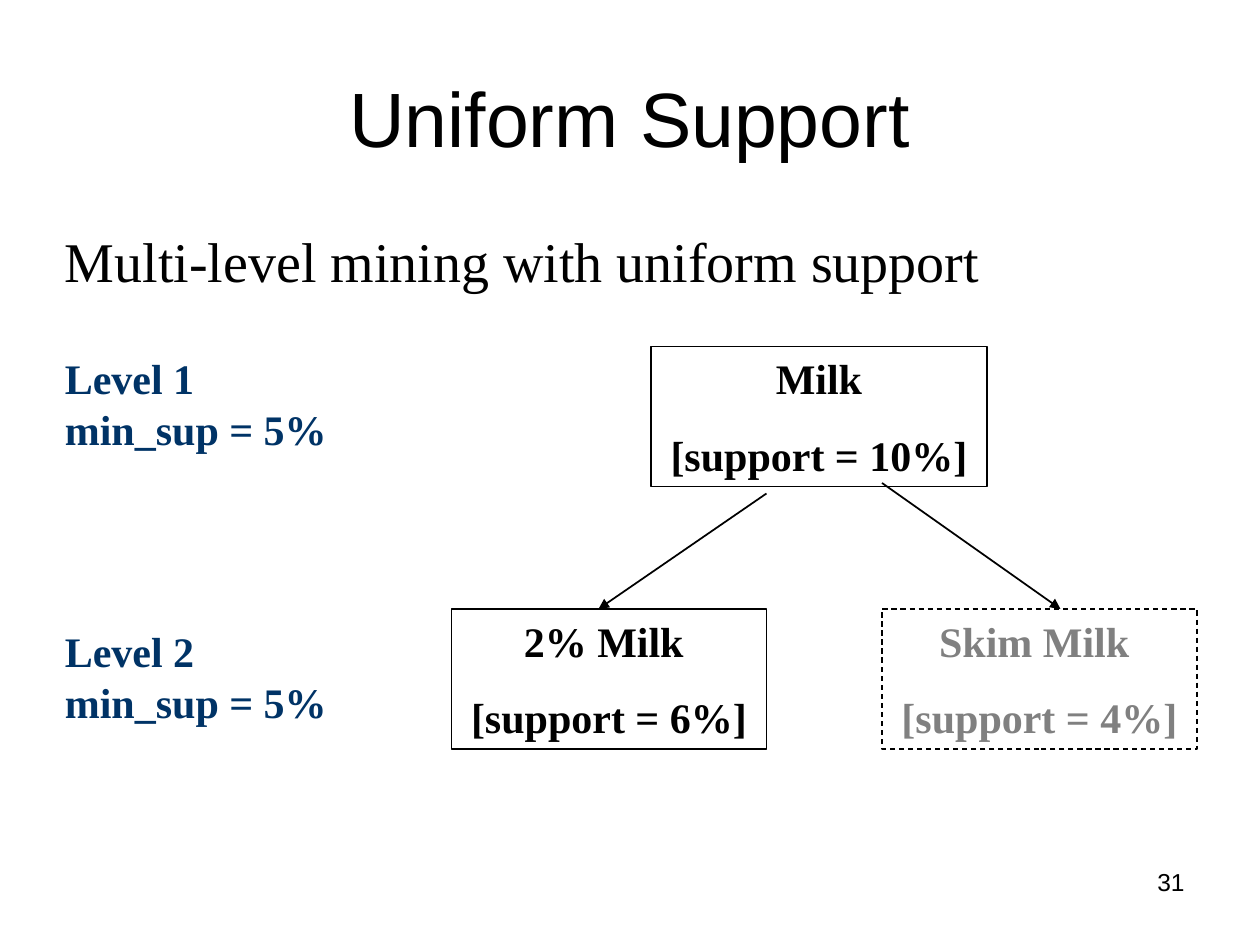
from lxml.etree import SubElement
from pptx import Presentation
from pptx.dml.color import RGBColor
from pptx.enum.dml import MSO_LINE
from pptx.enum.shapes import MSO_CONNECTOR, MSO_SHAPE
from pptx.enum.text import MSO_ANCHOR, PP_ALIGN
from pptx.oxml.ns import qn
from pptx.util import Pt

THEME = {
    "sans": "Arial", "serif": "Times New Roman",
    "black": "000000", "white": "FFFFFF", "gray": "808080", "navy": "003366",
    "title": 44, "lead": 32, "body": 24, "page": 14,
}

# Places are left, top, width, height in points.
TITLE = ("Uniform Support", (36, 21.6, 648, 90))
LEAD = ("Multi-level mining with uniform support", (30, 126, 660, 78))
PAGE = ("31", (516, 492, 168, 37.5))
LEVELS = [
    (["Level 1", "min_sup = 5%"], 198),
    (["Level 2", "min_sup = 5%"], 354),
]
# Lines, left, top, width, whether the item is frequent
NODES = [
    (["Milk", "[support = 10%]"], 372, 198, 192, True),
    (["2% Milk ", "[support = 6%]"], 258, 348, 180, True),
    (["Skim Milk ", "[support = 4%]"], 504, 348, 180, False),
]
ARROWS = [((438, 282), (342, 348)), ((504, 276), (606, 348))]
NODE_H, LEVEL_W, LEVEL_H = 80, 164, 65


def color(name):
    return RGBColor.from_string(THEME[name])


def write(shape, lines, size, face="serif", ink="black", bold=False,
          align=PP_ALIGN.LEFT, gap=0, anchor=MSO_ANCHOR.TOP, wrap=True):
    frame = shape.text_frame
    frame.word_wrap = wrap
    frame.vertical_anchor = anchor
    frame.text = "\n".join(lines)
    for i, para in enumerate(frame.paragraphs):
        para.alignment = align
        para.space_before = Pt(gap if i else 0)
        font = para.font
        font.name, font.size, font.bold = THEME[face], Pt(THEME[size]), bold
        font.color.rgb = color(ink)


def add_text(slide, lines, place, size, **style):
    box = slide.shapes.add_textbox(*map(Pt, place))
    write(box, lines, size, **style)


def add_node(slide, lines, left, top, width, frequent):
    place = map(Pt, (left, top, width, NODE_H))
    box = slide.shapes.add_shape(MSO_SHAPE.RECTANGLE, *place)
    box.shadow.inherit = False
    box.fill.solid()
    box.fill.fore_color.rgb = color("white")
    box.line.color.rgb = color("black")
    box.line.width = Pt(0.75)
    if not frequent:
        box.line.dash_style = MSO_LINE.DASH
        tint = box.fill._xPr.find(qn("a:solidFill"))[0]
        SubElement(tint, qn("a:alpha"), val="50000")
    write(box, lines, "body", ink="black" if frequent else "gray",
          bold=True, align=PP_ALIGN.CENTER, gap=15)


def add_arrow(slide, start, end):
    line = slide.shapes.add_connector(
        MSO_CONNECTOR.STRAIGHT, *map(Pt, start + end))
    line.line.color.rgb = color("black")
    line.line.width = Pt(1)
    SubElement(line.line._get_or_add_ln(), qn("a:tailEnd"), type="triangle")
    SubElement(line._element.spPr, qn("a:effectLst"))


def main():
    deck = Presentation()
    deck.slide_width, deck.slide_height = Pt(720), Pt(540)
    slide = deck.slides.add_slide(deck.slide_layouts[6])

    text, place = PAGE
    add_text(slide, [text], place, "page", face="sans", align=PP_ALIGN.RIGHT)
    text, place = TITLE
    add_text(slide, [text], place, "title", face="sans",
             align=PP_ALIGN.CENTER, anchor=MSO_ANCHOR.MIDDLE)
    text, place = LEAD
    add_text(slide, [text], place, "lead")
    for node in NODES:
        add_node(slide, *node)
    for start, end in ARROWS:
        add_arrow(slide, start, end)
    for lines, top in LEVELS:
        add_text(slide, lines, (30, top, LEVEL_W, LEVEL_H), "body",
                 ink="navy", bold=True, wrap=False)

    deck.save("out.pptx")


if __name__ == "__main__":
    main()
